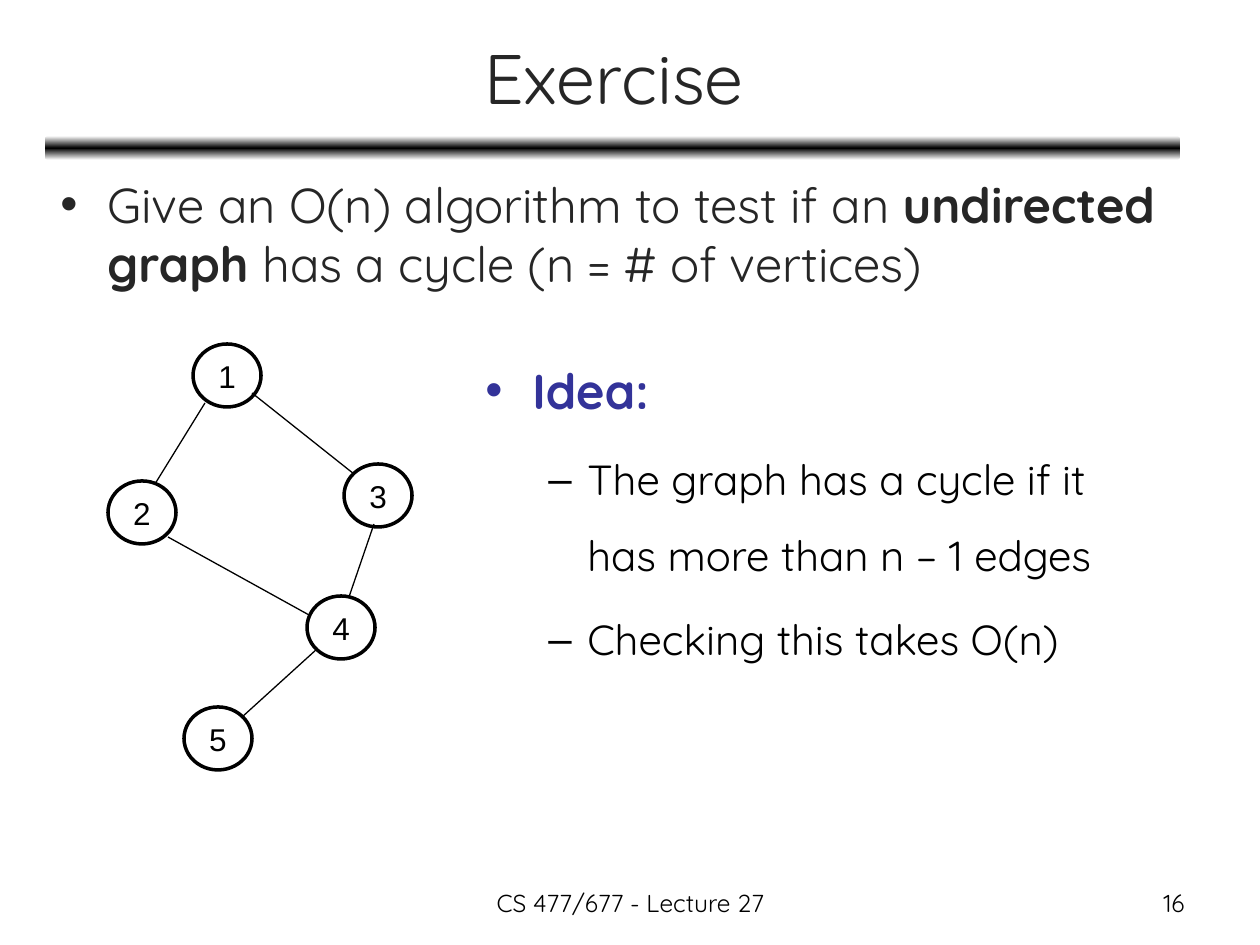
import copy
from lxml import etree
from pptx import Presentation, util as u
from pptx.dml.color import RGBColor
from pptx.enum import shapes, text
from pptx.oxml import ns

SCALE = 914400 / 126  # EMU per px
COLORS = {"white": "FFFFFF", "black": "000000", "title": "262626", "idea": "333399"}


def px(*lengths):
    return [u.Emu(round(length * SCALE)) for length in lengths]


def add_text(slide, box, paragraphs, anchor=text.MSO_ANCHOR.TOP):
    """Each paragraph: (runs, layout); each run: (words, size, color, bold)."""
    frame = slide.shapes.add_textbox(*px(*box)).text_frame
    frame.word_wrap = True
    frame.vertical_anchor = anchor
    for index, (runs, layout) in enumerate(paragraphs):
        paragraph = frame.add_paragraph() if index else frame.paragraphs[0]
        paragraph.alignment = layout.get("align", text.PP_ALIGN.LEFT)
        paragraph.line_spacing = layout.get("spacing", 1.0)
        paragraph.space_before = u.Pt(5 if index else 0)
        if "bullet" in layout:
            properties = paragraph._p.get_or_add_pPr()
            left, hanging = px(layout["left"], layout["hanging"])
            properties.set("marL", str(left))
            properties.set("indent", str(-hanging))
            etree.SubElement(properties, ns.qn("a:buFont")).set("typeface", "Arial")
            etree.SubElement(properties, ns.qn("a:buChar")).set("char", layout["bullet"])
            paragraph.level = layout.get("level", 0)
        for words, size, color, bold in runs:
            run = paragraph.add_run()
            run.text = words
            run.font.name = "Quicksand"
            run.font.size = u.Pt(size)
            run.font.bold = bold
            run.font.color.rgb = RGBColor.from_string(COLORS[color])


presentation = Presentation()
presentation.slide_width, presentation.slide_height = px(1260, 945)
slide = presentation.slides.add_slide(presentation.slide_layouts[6])
white, black = (RGBColor.from_string(COLORS[name]) for name in ("white", "black"))
center, right = text.PP_ALIGN.CENTER, text.PP_ALIGN.RIGHT

# Rule under the title: white to black to white
rule = slide.shapes.add_shape(shapes.MSO_SHAPE.ROUNDED_RECTANGLE, *px(45, 136, 1135, 24))
rule.shadow.inherit = False
rule.line.fill.background()
rule.fill.gradient()
rule.fill.gradient_angle = 90
stop_list = rule._element.spPr.find(".//" + ns.qn("a:gsLst"))
stop_list.append(copy.deepcopy(stop_list[-1]))
for stop, position, color in zip(rule.fill.gradient_stops, (0, 0.5, 1), (white, black, white)):
    stop.position = position
    stop.color.rgb = color

# Title and question
add_text(slide, (47, 14, 1134, 125), [([("Exercise", 40, "title", False)], {"align": center})],
         text.MSO_ANCHOR.MIDDLE)
first_level = {"bullet": "•", "left": 47, "hanging": 47}
add_text(slide, (48, 168, 1134, 184), [([
    ("Give an O(n) algorithm to test if an ", 28, "title", False),
    ("undirected graph ", 28, "title", True),
    ("has a cycle (n = # of vertices)", 28, "title", False),
], first_level)])

# Graph vertices
vertices = {"1": (193, 344), "3": (344, 464), "2": (108, 481), "4": (307, 596), "5": (184, 707)}
for label, (left, top) in vertices.items():
    vertex = slide.shapes.add_shape(shapes.MSO_SHAPE.OVAL, *px(left, top, 68, 63))
    vertex.shadow.inherit = False
    vertex.fill.solid()
    vertex.fill.fore_color.rgb = white
    vertex.line.color.rgb = black
    vertex.line.width = u.Pt(2)
    vertex.text_frame.word_wrap = False
    vertex.text_frame.vertical_anchor = text.MSO_ANCHOR.MIDDLE
    paragraph = vertex.text_frame.paragraphs[0]
    paragraph.alignment = center
    run = paragraph.add_run()
    run.text = label
    run.font.name = "Arial"
    run.font.size = u.Pt(18)
    run.font.color.rgb = black

# Graph edges
edges = [
    (252, 393, 354, 474),  # 1 to 3
    (205, 403, 155, 484),  # 1 to 2
    (374, 524, 349, 597),  # 3 to 4
    (168, 537, 309, 615),  # 2 to 4
    (317, 649, 241, 718),  # 4 to 5
]
for ends in edges:
    edge = slide.shapes.add_connector(shapes.MSO_CONNECTOR.STRAIGHT, *px(*ends))
    edge.line.color.rgb = black
    edge.line.width = u.Pt(0.75)
    etree.SubElement(edge._element.spPr, ns.qn("a:effectLst"))

# Idea
second_level = {"bullet": "–", "left": 102, "hanging": 39, "level": 1, "spacing": 1.5}
add_text(slide, (473, 325, 690, 548), [
    ([("Idea:", 28, "idea", True)], {**first_level, "spacing": 1.5}),
    ([("The graph has a cycle if it has more than n – 1 edges", 24, "black", False)], second_level),
    ([("Checking this takes O(n)", 24, "black", False)], second_level),
])

# Footer and slide number
add_text(slide, (431, 882, 399, 44),
         [([("CS 477/677 - Lecture 27", 14, "black", False)], {"align": center})])
add_text(slide, (903, 882, 294, 44), [([("16", 14, "black", False)], {"align": right})])

presentation.save("out.pptx")
